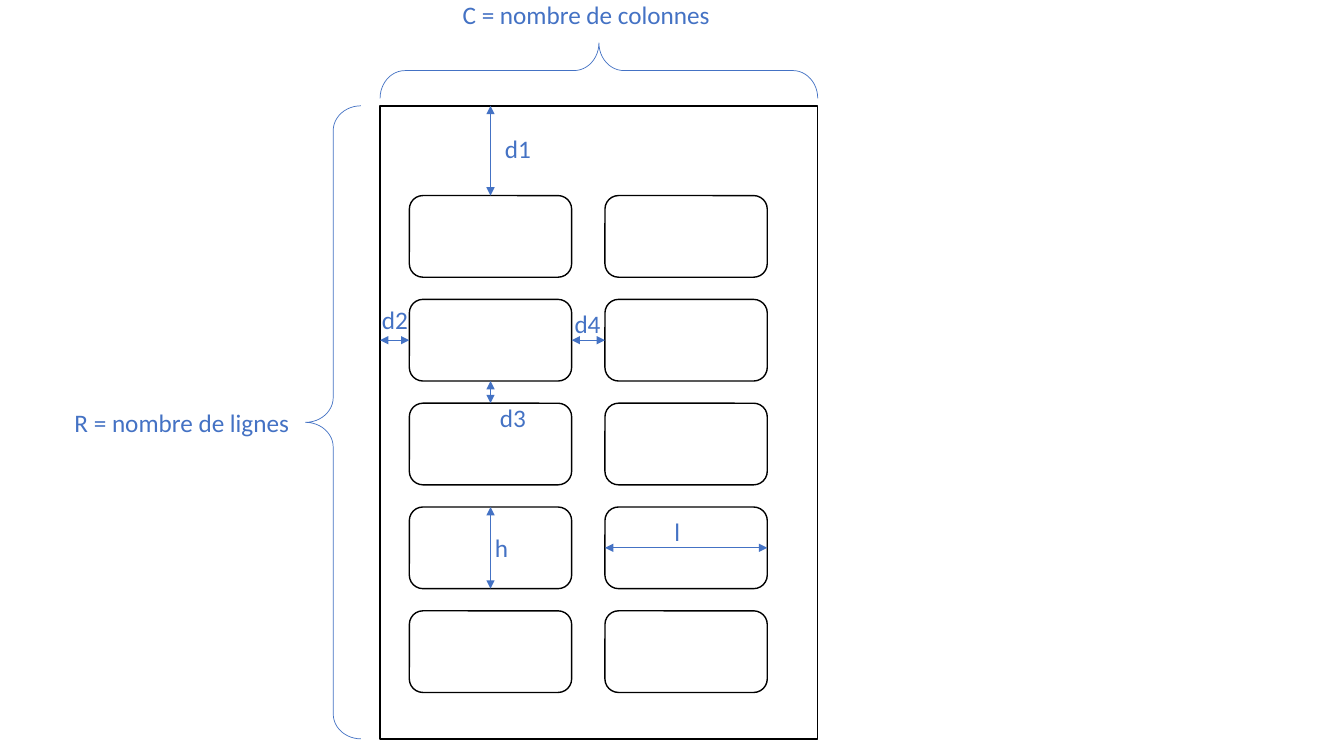
import lxml.etree
import pptx
import pptx.dml.color
import pptx.enum.shapes
import pptx.enum.text
import pptx.oxml.ns
import pptx.util
from dataclasses import dataclass

Inches = pptx.util.Inches
Shapes = pptx.enum.shapes.MSO_SHAPE


@dataclass
class Theme:
    outline: str = "000000"
    accent: str = "4472C4"
    font: str = "Calibri"
    text_size: float = 18
    outline_width: float = 1
    accent_width: float = 0.5


theme = Theme()
TOP, LEFT, BOTTOM, RIGHT = range(4)

presentation = pptx.Presentation()
presentation.slide_width = Inches(13.33)
presentation.slide_height = Inches(7.5)
slide = presentation.slides.add_slide(presentation.slide_layouts[6])


def add_outline(kind, left, top, width, height, color, line_width):
    shape = slide.shapes.add_shape(kind, Inches(left), Inches(top), Inches(width), Inches(height))
    shape.shadow.inherit = False
    shape.fill.background()
    shape.line.color.rgb = pptx.dml.color.RGBColor.from_string(color)
    shape.line.width = pptx.util.Pt(line_width)
    return shape


def add_text(text, *, left, top, width, height=0.4, size=theme.text_size, color=theme.accent):
    box = slide.shapes.add_textbox(Inches(left), Inches(top), Inches(width), Inches(height))
    box.text_frame.word_wrap = False
    box.text_frame.auto_size = pptx.enum.text.MSO_AUTO_SIZE.SHAPE_TO_FIT_TEXT
    run = box.text_frame.paragraphs[0].add_run()
    run.text = text
    run.font.name = theme.font
    run.font.size = pptx.util.Pt(size)
    run.font.color.rgb = pptx.dml.color.RGBColor.from_string(color)


page_left, page_top, page_width, page_height = 3.77, 1.05, 4.34, 6.28
label_width, label_height = 1.61, 0.81
column_lefts = [4.06 + 1.94 * column for column in range(2)]
row_tops = [1.94 + 1.03 * row for row in range(5)]

labels = [
    [
        add_outline(
            Shapes.ROUNDED_RECTANGLE,
            left,
            top,
            label_width,
            label_height,
            theme.outline,
            theme.outline_width,
        )
        for left in column_lefts
    ]
    for top in row_tops
]
add_outline(Shapes.RECTANGLE, page_left, page_top, page_width, page_height, theme.outline, theme.outline_width)

brace_depth = 0.55
column_brace_left = page_left + (page_width - brace_depth) / 2
column_brace_top = 0.7 - page_width / 2
braces = [
    (3.03, page_top, page_height, 0),
    (column_brace_left, column_brace_top, page_width, 90),
]
for left, top, length, rotation in braces:
    brace = add_outline(Shapes.LEFT_BRACE, left, top, brace_depth, length, theme.accent, theme.accent_width)
    brace.adjustments[0] = 0.448
    brace.adjustments[1] = 0.5
    brace.rotation = rotation

first_left, second_left = column_lefts
first_right, second_right = first_left + label_width, second_left + label_width
middle_x = first_left + label_width / 2
row_bottoms = [top + label_height for top in row_tops]
row_middles = [top + label_height / 2 for top in row_tops]
dimensions = [
    (middle_x, page_top, middle_x, row_tops[0], None, (labels[0][0], TOP)),
    (middle_x, row_bottoms[1], middle_x, row_tops[2], (labels[1][0], BOTTOM), (labels[2][0], TOP)),
    (first_left, row_middles[1], page_left, row_middles[1], (labels[1][0], LEFT), None),
    (second_left, row_middles[1], first_right, row_middles[1], (labels[1][1], LEFT), (labels[1][0], RIGHT)),
    (middle_x, row_tops[3], middle_x, row_bottoms[3], (labels[3][0], TOP), (labels[3][0], BOTTOM)),
    (second_right, row_middles[3], second_left, row_middles[3], (labels[3][1], RIGHT), (labels[3][1], LEFT)),
]
for *ends, begin_joint, end_joint in dimensions:
    arrow = slide.shapes.add_connector(pptx.enum.shapes.MSO_CONNECTOR.STRAIGHT, *map(Inches, ends))
    if begin_joint:
        arrow.begin_connect(*begin_joint)
    if end_joint:
        arrow.end_connect(*end_joint)
    arrow.line.color.rgb = pptx.dml.color.RGBColor.from_string(theme.accent)
    arrow.line.width = pptx.util.Pt(theme.accent_width)
    line = arrow.line._get_or_add_ln()
    for tag in ("a:headEnd", "a:tailEnd"):
        lxml.etree.SubElement(line, pptx.oxml.ns.qn(tag), type="triangle")
    lxml.etree.SubElement(line.getparent(), pptx.oxml.ns.qn("a:effectLst"))

captions = [
    ("C = nombre de colonnes", 4.49, -0.06, 2.69),
    ("R = nombre de lignes", 0.64, 3.99, 2.36),
    ("d1", 4.91, 1.27, 0.46),
    ("d2", 3.69, 2.97, 0.46),
    ("d4", 5.6, 3.01, 0.46),
    ("d3", 4.86, 3.94, 0.46),
    ("h", 4.81, 5.23, 0.34),
    ("l", 6.59, 5.07, 0.26),
]
for text, left, top, width in captions:
    add_text(text, left=left, top=top, width=width)

presentation.save("out.pptx")
